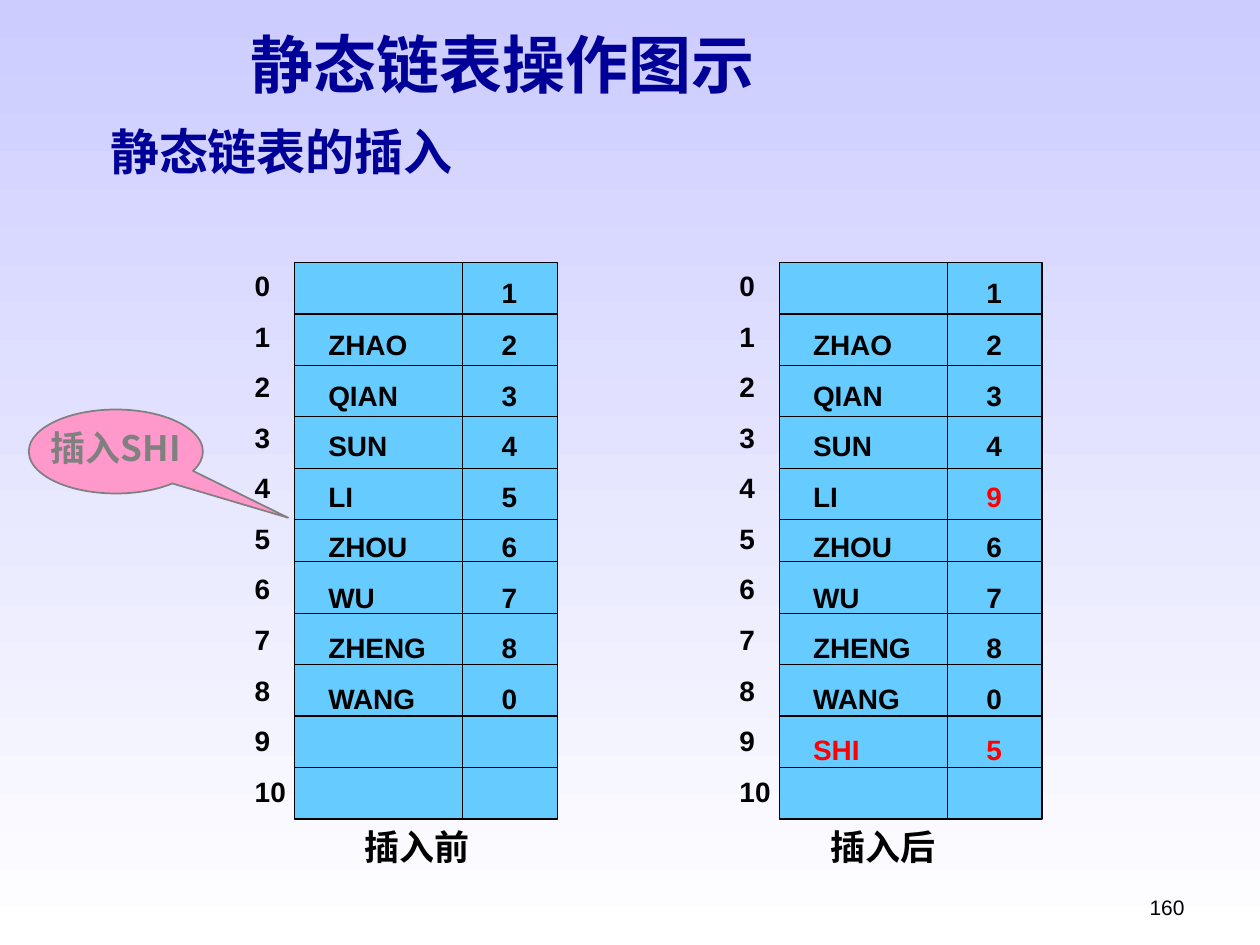
from lxml import etree
from pptx import Presentation
from pptx import util as u
from pptx.dml import color
from pptx.enum import shapes, text
from pptx.oxml import ns

COLORS = {
    "sky": "CCCCFF", "white": "FFFFFF", "navy": "000099", "black": "000000",
    "cell": "66CCFF", "red": "FF0000", "pink": "FF99CC", "gray": "808080",
}
LATIN, CJK = "Arial", "Noto Sans CJK SC"

# Static list geometry, in points
TOP, BOTTOM, WIDTH, ROW, ROWS = 150, 468, 150, 29.4, 11
LINK_X = 96
LINK_TAB = 99
ROW_GAP = 9.7  # keeps the text of every row above its lower line

NAMES = ["", "ZHAO", "QIAN", "SUN", "LI", "ZHOU", "WU", "ZHENG", "WANG"]
LINKS_BEFORE = [1, 2, 3, 4, 5, 6, 7, 8, 0]
LINKS_AFTER = [1, 2, 3, 4, 9, 6, 7, 8, 0, 5]


def rgb(name):
    return color.RGBColor.from_string(COLORS[name])


def add_span(para, content, size, tint="black", font=LATIN, bold=True):
    span = para.add_run()
    span.text = content
    span.font.size = u.Pt(size)
    span.font.name = font
    span.font.bold = bold
    span.font.color.rgb = rgb(tint)
    east = etree.SubElement(span.font._element, ns.qn("a:ea"))
    east.set("typeface", CJK)


def add_box(parent, left, top, width, height, inset=7.2):
    box = parent.add_textbox(u.Pt(left), u.Pt(top), u.Pt(width), u.Pt(height))
    frame = box.text_frame
    frame.word_wrap = True
    frame.auto_size = text.MSO_AUTO_SIZE.SHAPE_TO_FIT_TEXT
    frame.margin_left = u.Pt(inset)
    return frame


def add_label(parent, content, area, size=20, tint="black", inset=7.2):
    frame = add_box(parent, *area, inset=inset)
    add_span(frame.paragraphs[0], content, size, tint, CJK)


def next_para(frame, index):
    if index == 0:
        return frame.paragraphs[0]
    para = frame.add_paragraph()
    para.space_before = u.Pt(ROW_GAP)
    return para


def add_figure(parent, kind, area, fill, line, weight):
    figure = parent.add_shape(kind, *map(u.Pt, area))
    figure.shadow.inherit = False
    figure.fill.solid()
    figure.fill.fore_color.rgb = rgb(fill)
    figure.line.color.rgb = rgb(line)
    figure.line.width = u.Pt(weight)
    return figure


def add_rule(parent, x1, y1, x2, y2):
    rule = parent.add_connector(shapes.MSO_CONNECTOR.STRAIGHT, *map(u.Pt, (x1, y1, x2, y2)))
    rule.line.color.rgb = rgb("black")
    rule.line.width = u.Pt(0.75)
    etree.SubElement(rule._element.spPr, ns.qn("a:effectLst"))


def add_link_tab(para):
    tabs = etree.SubElement(para._p.get_or_add_pPr(), ns.qn("a:tabLst"))
    etree.SubElement(tabs, ns.qn("a:tab"), pos=str(u.Pt(LINK_TAB)), algn="l")


def add_static_list(page, left, names, links, changed=()):
    """Draw one array; changed holds the (row, column) entries in red."""
    group = page.shapes.add_group_shape().shapes
    add_figure(group, shapes.MSO_SHAPE.RECTANGLE, (left, TOP, WIDTH, BOTTOM - TOP),
               "cell", "black", 0.75)

    # Rows are spaced from the top down to row 5, and from the bottom below it
    for row in range(1, ROWS):
        y = TOP + row * ROW if row < 6 else BOTTOM - (ROWS - row) * ROW
        add_rule(group, left, y, left + WIDTH, y)
    add_rule(group, left + LINK_X, TOP, left + LINK_X, BOTTOM)

    # Row indices
    frame = add_box(group, left - 30, TOP, 42, BOTTOM - TOP)
    for row in range(ROWS):
        add_span(next_para(frame, row), str(row), 16)

    # Names and links
    frame = add_box(group, left + 12, TOP, 126, 265)
    for row, (name, link) in enumerate(zip(names, links)):
        para = next_para(frame, row)
        add_link_tab(para)
        name_tint, link_tint = ("red" if (row, column) in changed else "black"
                                for column in (0, 1))
        add_span(para, name + "\t", 16 if name else 20, name_tint)
        add_span(para, str(link), 16, link_tint)


def add_callout(page):
    group = page.shapes.add_group_shape().shapes
    bubble = add_figure(group, shapes.MSO_SHAPE.OVAL_CALLOUT, (16.5, 234, 99.5, 48),
                        "pink", "gray", 1)
    bubble.adjustments[0] = 0.99
    bubble.adjustments[1] = 0.79
    add_label(group, "插入SHI", (22, 240, 105, 31.5), tint="gray")


def set_title(page, content):
    title = page.shapes.title
    title.left, title.top, title.width, title.height = map(u.Pt, (28, 18, 518, 36))
    frame = title.text_frame
    frame.auto_size = text.MSO_AUTO_SIZE.NONE
    frame.vertical_anchor = text.MSO_ANCHOR.MIDDLE
    para = frame.paragraphs[0]
    para.alignment = text.PP_ALIGN.CENTER
    add_span(para, content, 36, "navy", "Times New Roman")


def set_background(page):
    fill = page.background.fill
    fill.gradient()
    fill.gradient_angle = 270
    for stop, name in zip(fill.gradient_stops, ("sky", "white")):
        stop.color.rgb = rgb(name)


def add_page_number(page, number):
    frame = add_box(page.shapes, 516, 492, 168, 37)
    frame.auto_size = text.MSO_AUTO_SIZE.NONE
    frame.vertical_anchor = text.MSO_ANCHOR.BOTTOM
    para = frame.paragraphs[0]
    para.alignment = text.PP_ALIGN.RIGHT
    add_span(para, number, 12, bold=False)


def main():
    deck = Presentation()
    deck.slide_width, deck.slide_height = u.Pt(720), u.Pt(540)
    page = deck.slides.add_slide(deck.slide_layouts[5])
    set_background(page)
    add_page_number(page, "160")

    # Headings
    set_title(page, "静态链表操作图示")
    add_label(page.shapes, "静态链表的插入", (49.5, 66, 274.5, 41), 28, "navy", inset=13.5)

    # List after and before the insertion
    add_static_list(page, 445.5, NAMES + ["SHI"], LINKS_AFTER, {(4, 1), (9, 0), (9, 1)})
    add_static_list(page, 168.5, NAMES, LINKS_BEFORE)
    add_label(page.shapes, "插入前", (188, 468, 111, 31.5), inset=20.5)
    add_label(page.shapes, "插入后", (454, 468, 138, 31.5), inset=20.5)

    add_callout(page)
    deck.save("out.pptx")


if __name__ == "__main__":
    main()
